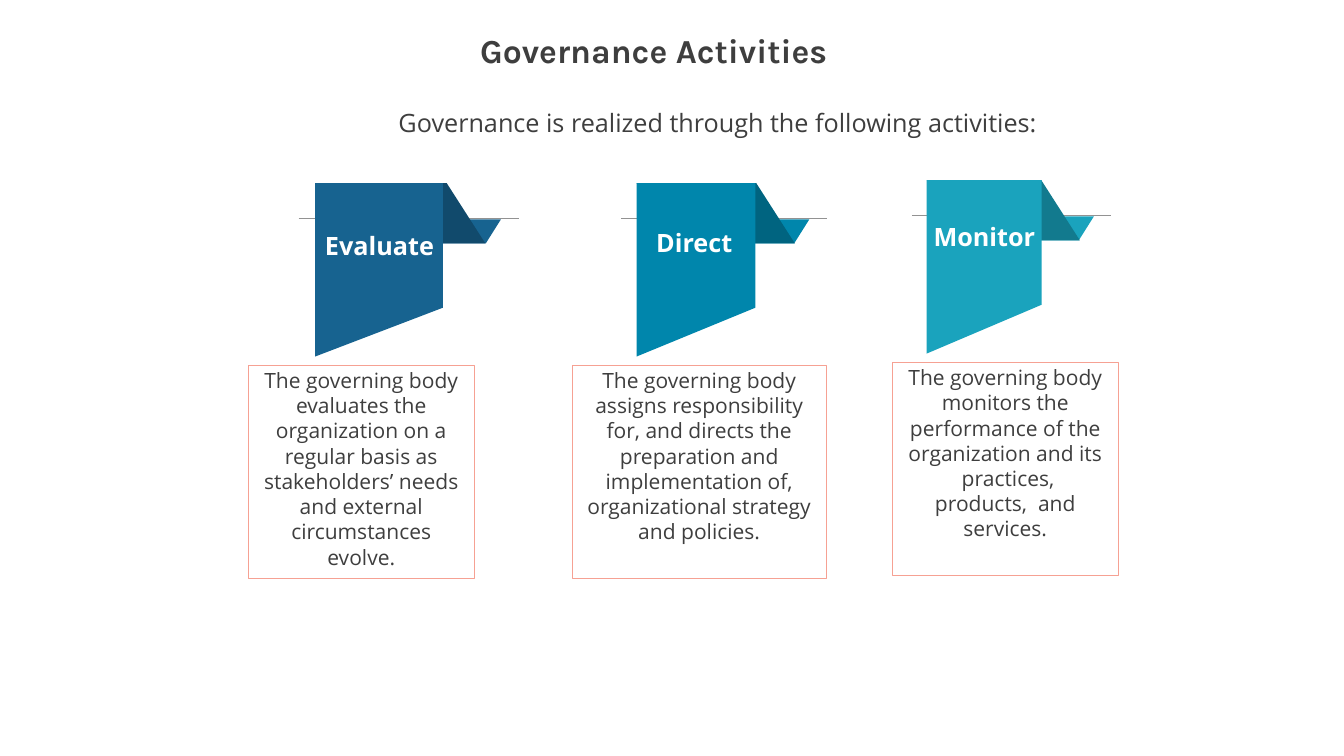
from pptx import Presentation
from pptx.dml.color import RGBColor
from pptx.enum.shapes import MSO_CONNECTOR as Conn, MSO_SHAPE as Shape
from pptx.enum.text import PP_ALIGN as Align
from pptx.oxml.ns import qn
from pptx.util import Cm, Pt
from lxml.etree import SubElement

INK, RULE, EDGE, WHITE = "3E3E3E", "929292", "F6A193", "FFFFFF"

TITLE = "Governance Activities"
INTRO = "Governance is realized through the following activities:"

# ribbon: left, top, width of the front panel; label: left, top, width
# box: left, width, side inset (all in cm)
STEPS = [
    dict(name="Evaluate", front="176390", fold="114A6C",
         ribbon=(10.59, 6.15, 4.29), label=(10.92, 7.72, 3.73),
         box=(8.33, 7.62, 0.53),
         text="The governing body evaluates the organization on a regular "
              "basis as stakeholders’ needs and external circumstances evolve."),
    dict(name="Direct", front="0086AC", fold="006480",
         ribbon=(21.39, 6.15, 3.99), label=(22.05, 7.62, 2.64),
         box=(19.23, 8.53, 0.48),
         text="The governing body assigns responsibility for, and directs the "
              "preparation and implementation of, organizational strategy "
              "and policies."),
    dict(name="Monitor", front="1AA3BD", fold="127A8E",
         ribbon=(31.14, 6.05, 3.86), label=(31.37, 7.42, 3.48),
         box=(29.97, 7.62, 0.55),
         text="The governing body monitors the performance of the "
              "organization and its  practices, products,  and services."),
]

HEAD = dict(name="Karla", size=Pt(32), bold=True)
LEAD = dict(name="Open Sans", size=Pt(24), bold=False)
LABEL = dict(name="Open Sans", size=Pt(24), bold=True)
BODY = dict(name="Open Sans", size=Pt(20), bold=False)


def tint(color, hue):
    color.rgb = RGBColor.from_string(hue)


def write(shape, text, style, hue, side=0, top=0.03):
    """Fill the frame of a shape with one styled paragraph."""
    frame = shape.text_frame
    frame.word_wrap = True
    frame.margin_left = frame.margin_right = Cm(side)
    frame.margin_top, frame.margin_bottom = Cm(top), 0
    para = frame.paragraphs[0]
    run = para.add_run()
    run.text = text
    for key, value in style.items():
        setattr(run.font, key, value)
    tint(run.font.color, hue)
    return para


def label(shapes, left, top, width, height, text, style, hue):
    box = shapes.add_textbox(Cm(left), Cm(top), Cm(width), Cm(height))
    write(box, text, style, hue)


def outline(shapes, points, hue):
    """Draw a closed, filled outline through points in cm."""
    pts = [(Cm(x), Cm(y)) for x, y in points]
    pen = shapes.build_freeform(*pts[0])
    pen.add_line_segments(pts[1:], close=True)
    shape = pen.convert_to_shape()
    shape.shadow.inherit = False
    shape.fill.solid()
    tint(shape.fill.fore_color, hue)
    shape.line.fill.background()


def ribbon(shapes, left, top, width, front, fold):
    """Draw the rule, tail, fold and front panel of one ribbon."""
    right = left + width
    mid, low = top + 1.22, top + 2.03
    rule = shapes.add_connector(
        Conn.STRAIGHT, Cm(left - 0.13 * width), Cm(top + 1.18),
        Cm(right + 0.6 * width), Cm(top + 1.18))
    tint(rule.line.color, RULE)
    rule.line.width = Pt(0.72)
    SubElement(rule.element.spPr, qn("a:effectLst"))

    start, tip = left + width / 4, right + 0.455 * width
    outline(shapes, [(tip, mid), (start, mid), (start + 0.51, low),
                     (tip - 0.51, low)], front)
    end = right + width / 3
    outline(shapes, [(end - 1.3, top), (left, top), (left + 1.3, low),
                     (end, low)], fold)
    outline(shapes, [(right, top), (left, top), (left, top + 5.83),
                     (right, top + 4.19)], front)


def note(shapes, left, top, width, side, text):
    box = shapes.add_shape(Shape.RECTANGLE, Cm(left), Cm(top),
                           Cm(width), Cm(7.16))
    box.shadow.inherit = False
    box.fill.background()
    tint(box.line.color, EDGE)
    box.line.width = Pt(0.72)
    para = write(box, text, BODY, INK, side, 0.08)
    para.alignment = Align.CENTER
    para.line_spacing = Pt(24)
    box.text_frame.vertical_anchor = 1


def main():
    deck = Presentation()
    deck.slide_width, deck.slide_height = Cm(45.16), Cm(25.4)
    shapes = deck.slides.add_slide(deck.slide_layouts[6]).shapes

    label(shapes, 16.13, 0.97, 12.93, 1.42, TITLE, HEAD, INK)
    label(shapes, 13.39, 3.58, 21.59, 1.09, INTRO, LEAD, INK)
    for step in STEPS:
        ribbon(shapes, *step["ribbon"], step["front"], step["fold"])
        label(shapes, *step["label"], 1.09, step["name"], LABEL, WHITE)
        left, width, side = step["box"]
        note(shapes, left, step["ribbon"][1] + 6.12, width, side, step["text"])
    deck.save("out.pptx")


if __name__ == "__main__":
    main()
